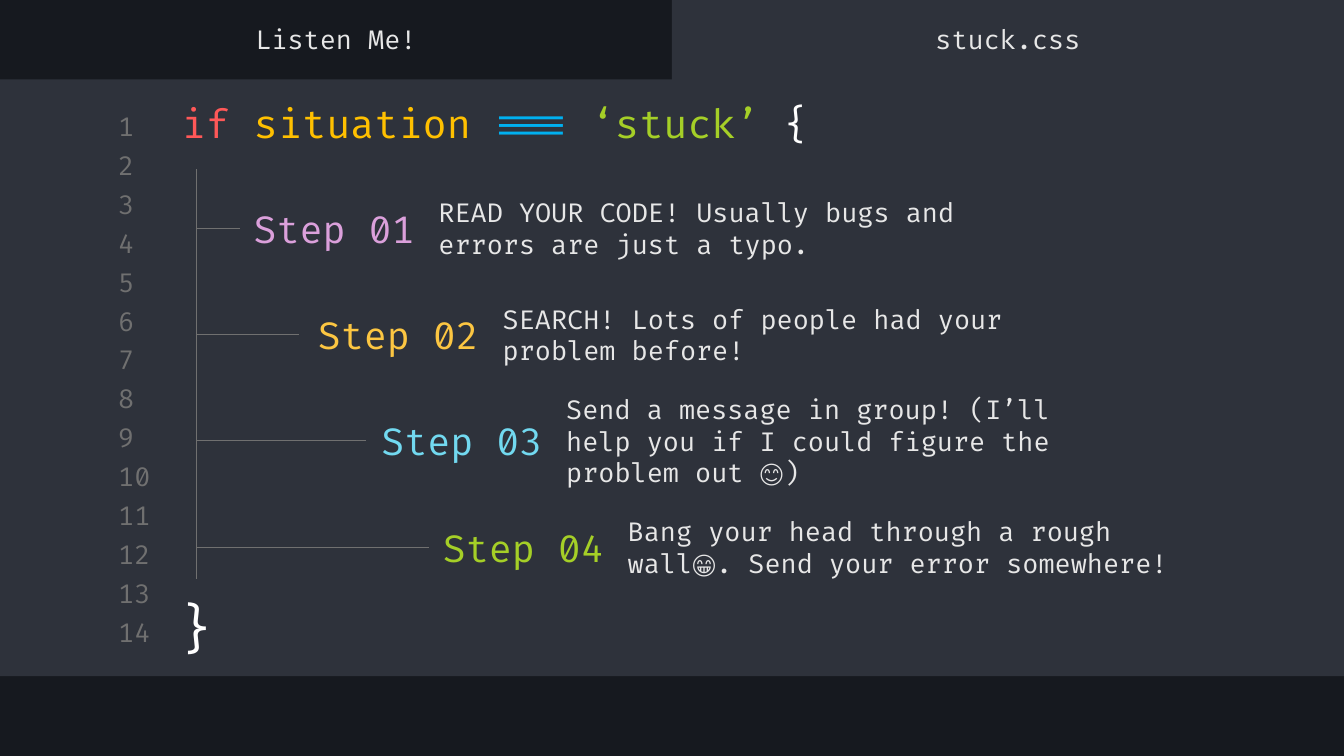
import pptx
import pptx.util
import pptx.dml.color
import pptx.enum.shapes
import pptx.enum.text
import pptx.oxml
import pptx.oxml.ns

Cm, Pt = pptx.util.Cm, pptx.util.Pt
ALIGN = pptx.enum.text.PP_ALIGN
ANCHOR = pptx.enum.text.MSO_ANCHOR

FONT = "Fira Code"
DARK, PANEL, GREY, PALE, WHITE = "16191F", "2E323B", "707070", "E7E7E7", "FFFFFF"
WIDE, HIGH = 33.87, 19.05
HALF = WIDE / 2

TABS = ["Listen Me!", "stuck.css"]
HEAD = [("if ", "FF5858"), ("situation ", "FFC000"), ("=== ", "00B0F0"),
        ("‘stuck’ ", "A5CF27"), ("{", WHITE)]
# label, colour, advice, left of label, end of branch (cm)
STEPS = [
    ("Step 01", "DBA0DB",
     "READ YOUR CODE! Usually bugs and errors are just a typo.", 6.05, 6.05),
    ("Step 02", "FCC642",
     "SEARCH! Lots of people had your problem before!", 7.67, 7.54),
    ("Step 03", "72D9F0",
     "Send a message in group! (I’ll help you if I could figure the problem out 😊)",
     9.27, 9.22),
    ("Step 04", "A5CF27",
     "Bang your head through a rough wall😁. Send your error somewhere!", 10.82, 10.82),
]
LINES = 14
LINE_TOP, LINE_GAP = 2.76, 0.98
STEP_TOP, STEP_GAP, STEP_HIGH = 4.67, 2.68, 2.16
TRUNK = 4.95


def tint(code):
    return pptx.dml.color.RGBColor.from_string(code)


def fill_text(shape, runs, size, align=ALIGN.LEFT, anchor=ANCHOR.MIDDLE):
    """Write (text, colour) runs into one paragraph of a shape."""
    frame = shape.text_frame
    frame.word_wrap = True
    frame.auto_size = pptx.enum.text.MSO_AUTO_SIZE.NONE
    frame.vertical_anchor = anchor
    frame.margin_left = frame.margin_right = Cm(0.34)
    frame.margin_top = frame.margin_bottom = Cm(0.34)
    para = frame.paragraphs[0]
    para.alignment = align
    for text, code in runs:
        run = para.add_run()
        run.text = text
        run.font.name = FONT
        run.font.size = Pt(size)
        run.font.color.rgb = tint(code)


def add_text(slide, box, text, code, size, **style):
    shape = slide.shapes.add_textbox(*map(Cm, box))
    fill_text(shape, [(text, code)], size, **style)
    return shape


def add_panel(slide, box):
    shape = slide.shapes.add_shape(
        pptx.enum.shapes.MSO_SHAPE.RECTANGLE, *map(Cm, box))
    shape.shadow.inherit = False
    shape.fill.solid()
    shape.fill.fore_color.rgb = tint(PANEL)
    shape.line.fill.background()


def add_line(slide, *ends):
    line = slide.shapes.add_connector(
        pptx.enum.shapes.MSO_CONNECTOR.STRAIGHT, *map(Cm, ends))
    line.line.color.rgb = tint(GREY)
    line.line.width = Pt(0.75)
    props = line.element.find(pptx.oxml.ns.qn("p:spPr"))
    props.append(pptx.oxml.parse_xml(
        "<a:effectLst %s/>" % pptx.oxml.ns.nsdecls("a")))
    return line


def main():
    deck = pptx.Presentation()
    deck.slide_width, deck.slide_height = Cm(WIDE), Cm(HIGH)
    slide = deck.slides.add_slide(deck.slide_layouts[5])
    slide.background.fill.solid()
    slide.background.fill.fore_color.rgb = tint(DARK)

    add_panel(slide, (0, 2, WIDE, 15.04))
    add_panel(slide, (HALF, 0, HALF, 2.18))
    for row in range(LINES):
        add_text(slide, (2.64, LINE_TOP + row * LINE_GAP, 1.6, 0.84),
                 str(row + 1), GREY, 18.7)

    title = slide.shapes.title
    title.left, title.top, title.width, title.height = map(Cm, (4.24, 2.16, 27, 2))
    fill_text(title, HEAD, 28, anchor=ANCHOR.TOP)
    # Bring the title in front of the panels
    title.element.getparent().append(title.element)

    add_text(slide, (4.01, 14.66, 1.88, 2.29), "}", WHITE, 37.3,
             align=ALIGN.CENTER, anchor=ANCHOR.TOP)
    for col, name in enumerate(TABS):
        add_text(slide, (col * HALF, 0.33, HALF, 1.32), name, PALE, 18.7,
                 align=ALIGN.CENTER)

    add_line(slide, TRUNK, 4.27, TRUNK, 14.58)
    for row, (name, code, advice, left, end) in enumerate(STEPS):
        top = STEP_TOP + row * STEP_GAP
        mid = top + STEP_HIGH / 2
        label = add_text(slide, (left, top, 4.8, STEP_HIGH), name, code, 26.7)
        add_text(slide, (left + 4.66, top, 14.76, STEP_HIGH), advice, PALE, 18.7)
        branch = add_line(slide, TRUNK, mid, end, mid)
        if end == left:
            branch.end_connect(label, 1)

    deck.save("out.pptx")


if __name__ == "__main__":
    main()
